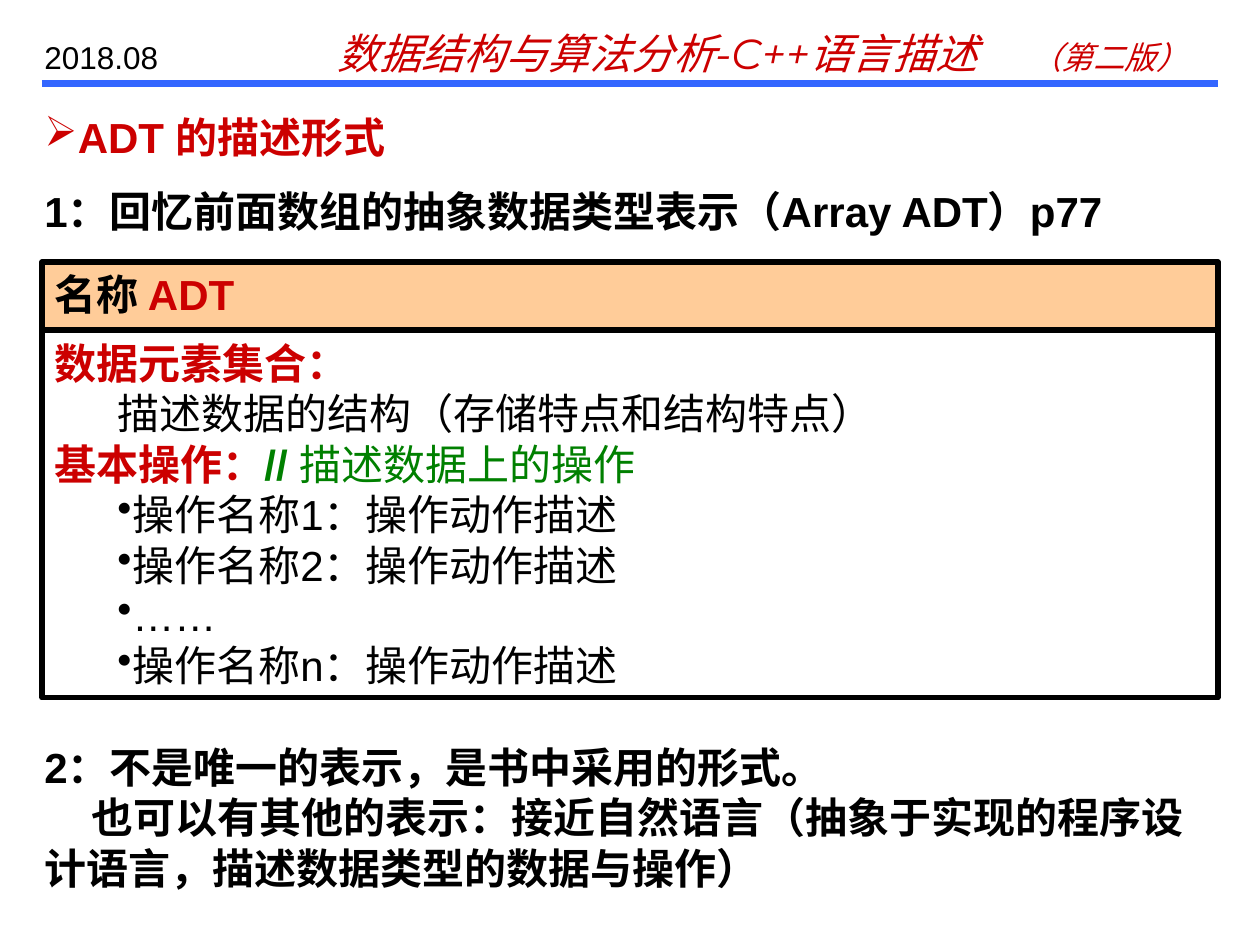
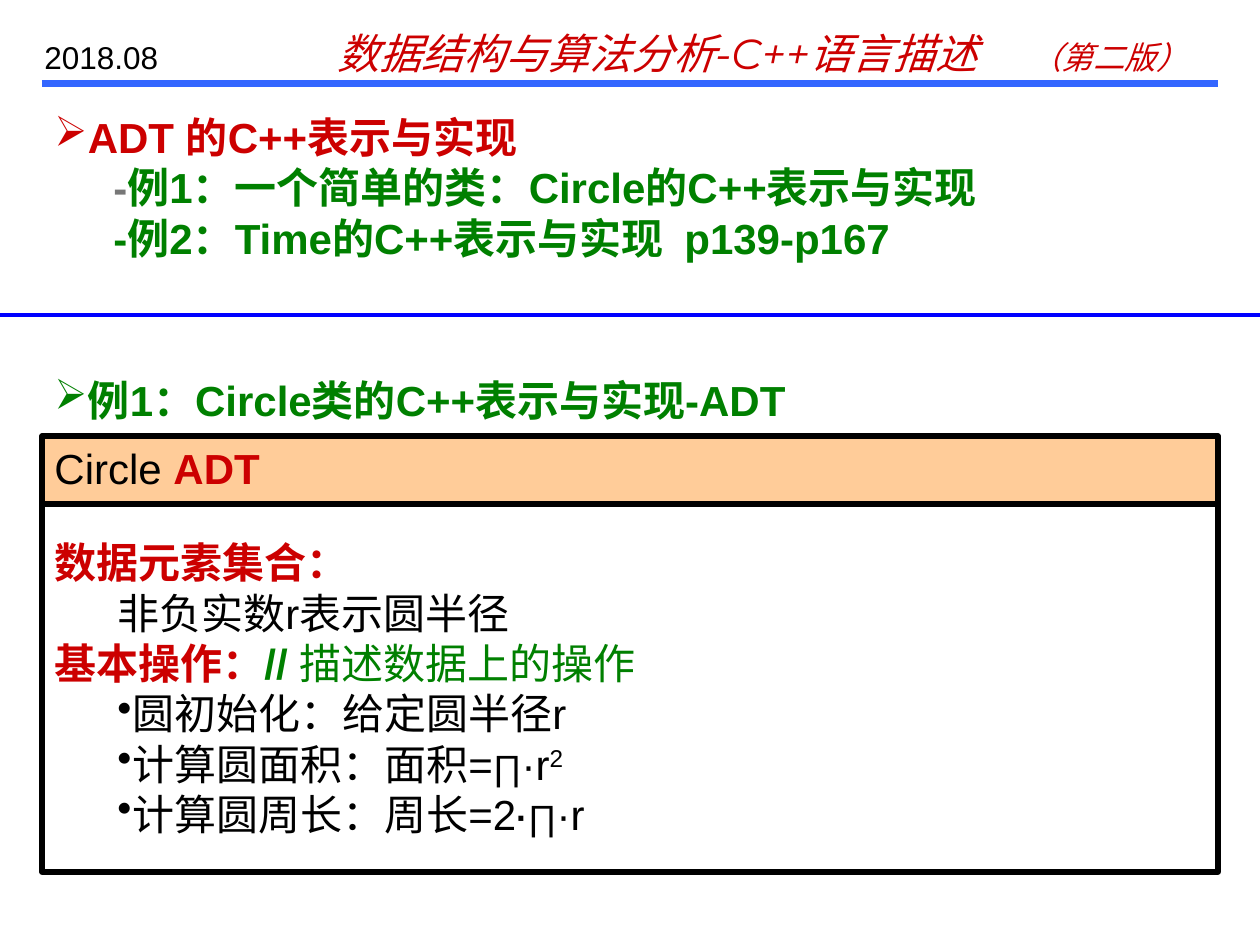
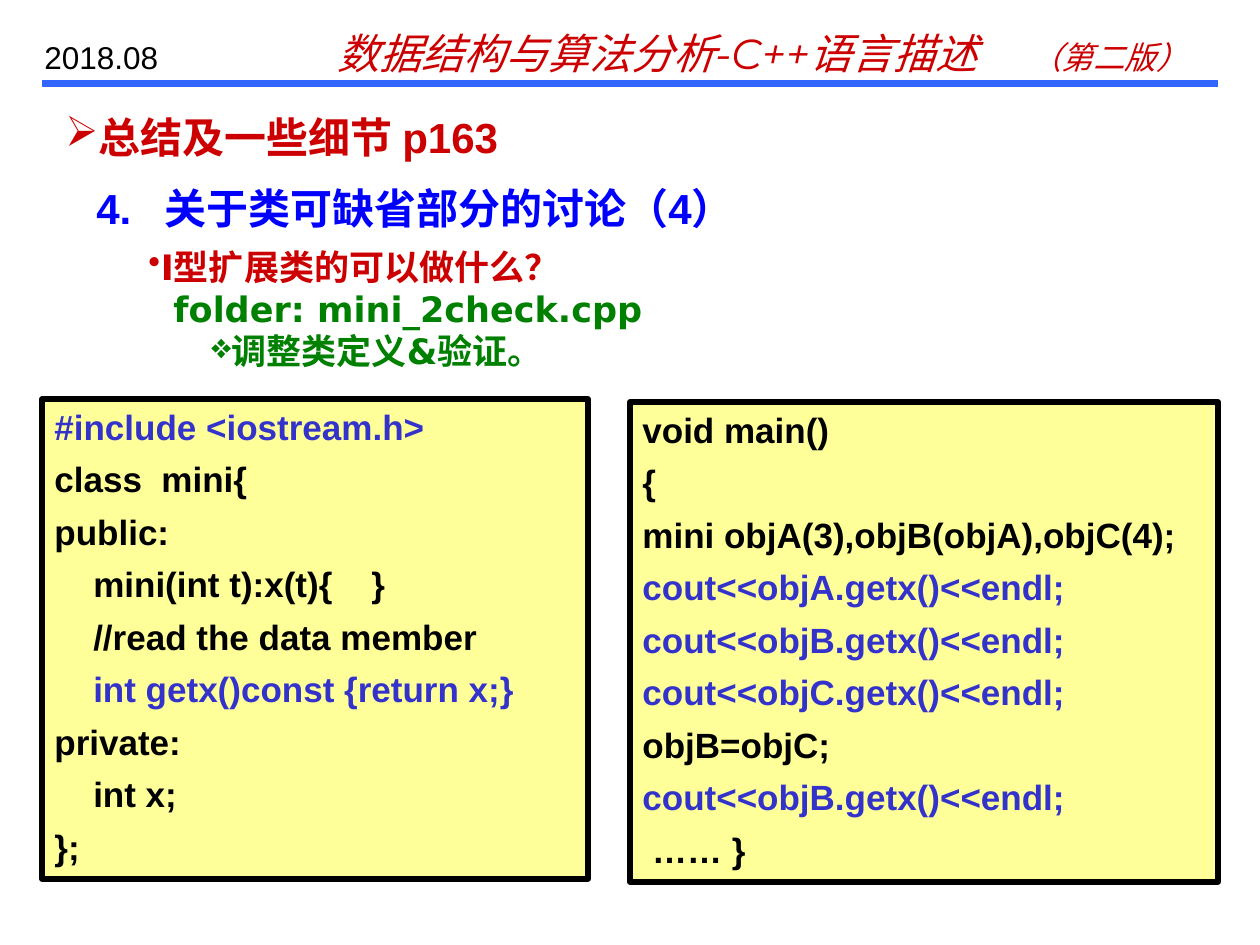
from dataclasses import dataclass

from lxml import etree
from pptx import Presentation
from pptx.dml.color import RGBColor
from pptx.enum.shapes import MSO_CONNECTOR, MSO_SHAPE
from pptx.enum.text import MSO_ANCHOR, PP_ALIGN
from pptx.oxml.ns import qn
from pptx.util import Emu, Pt

LINE = MSO_CONNECTOR.STRAIGHT
RECT = MSO_SHAPE.RECTANGLE
TOP, MIDDLE = MSO_ANCHOR.TOP, MSO_ANCHOR.MIDDLE
LEFT = PP_ALIGN.LEFT
SCALE = 914400 / 126


@dataclass(frozen=True)
class Theme:
    red: str = "CC0000"
    green: str = "008000"
    blue: str = "0000FF"
    code: str = "3333CC"
    rule: str = "3366FF"
    gray: str = "777777"
    black: str = "000000"
    peach: str = "FFCC99"
    cream: str = "FFFF99"
    big: int = 24
    mid: int = 20
    small: int = 18
    font: str = "Arial"
    script: str = "Montserrat"
    sans: str = "DejaVu Sans"


T = Theme()
ARROW, DOT, GEM = "➢", "•", "❖"
STEP = 63
PAGE = (0, 0, 1260, 945)


def px(num):
    return Emu(round(num * SCALE))


def line(*runs, **form):
    return runs, form


def mark(para, bullet=None, left=0, first=0, tab=None, gap=0):
    props = para._p.get_or_add_pPr()
    props.set("marL", str(px(left)))
    props.set("indent", str(px(first)))
    if bullet:
        etree.SubElement(props, qn("a:buChar")).set("char", bullet)
    if tab:
        stops = etree.SubElement(props, qn("a:tabLst"))
        stop = etree.SubElement(stops, qn("a:tab"))
        stop.set("pos", str(px(tab)))
        stop.set("algn", "l")
    para.alignment = LEFT
    para.space_before = Pt(gap)


def style(run, size=T.big, color=T.black, bold=False, italic=False,
          font=T.font, raised=False):
    face = run.font
    face.size, face.bold, face.italic, face.name = Pt(size), bold, italic, font
    face.color.rgb = RGBColor.from_string(color)
    if raised:
        run._r.get_or_add_rPr().set("baseline", "30000")


def write(shape, lines, anchor=TOP, gap=0, **base):
    frame = shape.text_frame
    frame.word_wrap = True
    frame.vertical_anchor = anchor
    for num, (runs, form) in enumerate(lines):
        para = frame.add_paragraph() if num else frame.paragraphs[0]
        mark(para, gap=gap if num else 0, **form)
        for item in runs:
            words, own = (item, {}) if isinstance(item, str) else item
            run = para.add_run()
            run.text = words
            style(run, **{**base, **own})


def label(slide, box, *lines, **base):
    write(slide.shapes.add_textbox(*map(px, box)), lines, **base)


def block(shapes, box, lines, fill=None, **base):
    rect = shapes.add_shape(RECT, *map(px, box))
    rect.shadow.inherit = False
    if fill:
        rect.fill.solid()
        rect.fill.fore_color.rgb = RGBColor.from_string(fill)
    else:
        rect.fill.background()
    rect.line.color.rgb = RGBColor.from_string(T.black)
    rect.line.width = Pt(3)
    write(rect, lines, **base)


def rule(slide, left, top, width, color, weight):
    bar = slide.shapes.add_connector(
        LINE, px(left), px(top), px(left + width), px(top))
    bar.line.color.rgb = RGBColor.from_string(color)
    bar.line.width = Pt(weight)
    etree.SubElement(bar._element.spPr, qn("a:effectLst"))


def header(slide, box):
    x, y, wide, _ = box
    rule(slide, x + 42, y + 84, wide - 84, T.rule, 4)
    label(slide, (x + 325, y + 21, 882, 63),
          line("数据结构与算法分析-C++语言描述\t",
               ("（第二版）", {"size": T.small}), tab=680),
          color=T.red, italic=True, font=T.script)
    label(slide, (x + 32, y + 32, 179, 50), line("2018.08"), size=T.small)


def panel(slide, box, name, data, acts):
    x, y, wide, high = box
    head = 68
    shapes = slide.shapes.add_group_shape().shapes
    red = {"color": T.red, "bold": True}
    green = {"color": T.green}
    block(shapes, (x, y, wide, head), [line(name, ("ADT", red))], fill=T.peach)
    lines = [
        line(("数据元素集合：", red)),
        line(data, left=STEP),
        line(("基本操作：", red), ("// ", {**green, "bold": True}),
             ("描述数据上的操作", green)),
        *(line(*act, bullet=DOT, left=STEP) for act in acts),
    ]
    block(shapes, (x, y + head, wide, high - head), lines, anchor=MIDDLE)


def listing(slide, box, text, marked):
    lines = [line((row, {"color": T.code if num in marked else T.black}))
             for num, row in enumerate(text.splitlines())]
    block(slide.shapes, box, lines, fill=T.cream, gap=6,
          size=T.mid, bold=True)


def forms(slide, box):
    x, y, wide, _ = box
    label(slide, (x + 32, y + 105, 1176, 73),
          line("ADT 的描述形式", bullet=ARROW), color=T.red, bold=True)
    panel(slide, (x + 42, y + 262, wide - 84, 436),
          ("名称 ", {"bold": True}), "描述数据的结构（存储特点和结构特点）",
          [["操作名称1：操作动作描述"], ["操作名称2：操作动作描述"],
           ["……"], ["操作名称n：操作动作描述"]])
    label(slide, (x + 32, y + 179, 1176, 73),
          line("1：回忆前面数组的抽象数据类型表示（Array ADT）p77"), bold=True)
    label(slide, (x + 32, y + 735, 1197, 168),
          line("2：不是唯一的表示，是书中采用的形式。"),
          line("也可以有其他的表示：接近自然语言（抽象于实现的程序设计语言，"
               "描述数据类型的数据与操作）", first=47), bold=True)


def circle(slide, box):
    x, y, wide, _ = box
    green = {"color": T.green}
    label(slide, (x + 42, y + 105, 1176, 168),
          line("ADT 的C++表示与实现", bullet=ARROW),
          line(("-", {"color": T.gray}),
               ("例1：一个简单的类：Circle的C++表示与实现", green), first=59),
          line(("-例2：Time的C++表示与实现\tp139-p167", green),
               first=59, tab=708),
          color=T.red, bold=True)
    small = {"size": T.mid}
    panel(slide, (x + 42, y + 436, wide - 84, 436),
          "Circle ", "非负实数r表示圆半径",
          [["圆初始化：给定圆半径r"],
           ["计算圆面积：面积=", ("∏", small), "·r", ("2", {"raised": True})],
           ["计算圆周长：周长=2", ("·", {**small, "bold": True}),
            ("∏", small), "·r"]])
    label(slide, (x + 42, y + 368, 1071, 63),
          line("例1：Circle类的C++表示与实现-ADT", bullet=ARROW),
          color=T.green, bold=True)
    rule(slide, x, y + 315, wide, T.blue, 2)


CLASS = """#include <iostream.h>
class  mini{
public:
    mini(int t):x(t){    }
    //read the data member
    int getx()const {return x;}
private:
    int x;
};"""

MAIN = """void main()
{
mini objA(3),objB(objA),objC(4);
cout<<objA.getx()<<endl;
cout<<objB.getx()<<endl;
cout<<objC.getx()<<endl;
objB=objC;
cout<<objB.getx()<<endl;
 …… }"""


def detail(slide, box):
    x, y, _, _ = box
    green = {"color": T.green}
    label(slide, (x + 53, y + 105, 1176, 63),
          line("总结及一些细节 p163", bullet=ARROW), color=T.red, bold=True)
    label(slide, (x + 84, y + 176, 1155, 63),
          line("4.\t关于类可缺省部分的讨论（4）", left=68, first=-68, tab=68),
          color=T.blue, bold=True)
    label(slide, (x + 136, y + 239, 1218, 139),
          line("I型扩展类的可以做什么？", bullet=DOT),
          line(("folder: mini_2check.cpp", green), left=25),
          line(("调整类定义&验证。", green), bullet=GEM, left=STEP),
          size=T.mid, color=T.red, bold=True, font=T.sans)
    listing(slide, (x + 42, y + 399, 546, 480), CLASS, {0, 5})
    listing(slide, (x + 630, y + 402, 588, 480), MAIN, {3, 4, 5, 7})


def main():
    deck = Presentation()
    deck.slide_width, deck.slide_height = px(PAGE[2]), px(PAGE[3])
    for draw in (forms, circle, detail):
        slide = deck.slides.add_slide(deck.slide_layouts[6])
        header(slide, PAGE)
        draw(slide, PAGE)
    deck.save("out.pptx")


if __name__ == "__main__":
    main()
